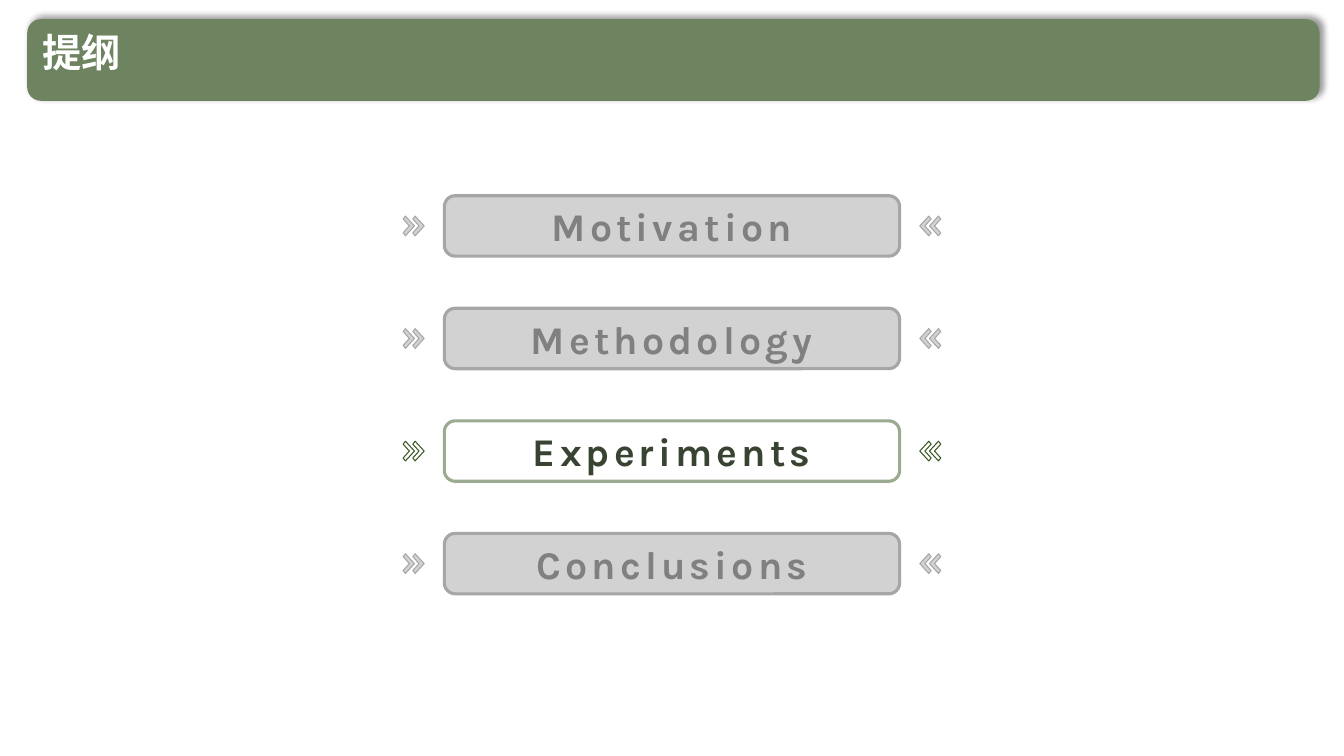
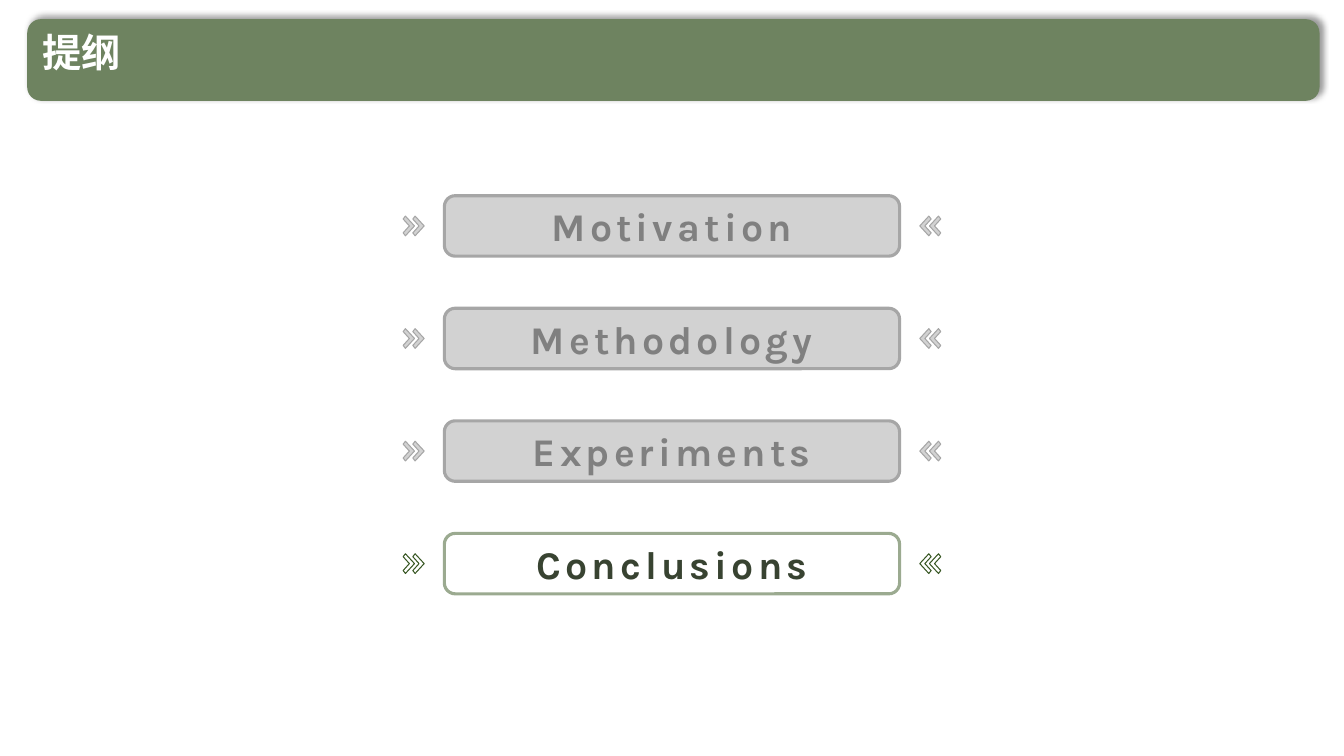
import dataclasses

import lxml.etree
import pptx
import pptx.dml.color
import pptx.enum.shapes
import pptx.enum.text
import pptx.oxml.ns
import pptx.util

SLIDE_WIDTH = pptx.util.Inches(13.33)
SLIDE_HEIGHT = pptx.util.Inches(7.5)
COLUMNS, ROWS = 160, 90
TITLE = "提纲"
SECTIONS = ["Motivation", "Methodology", "Experiments", "Conclusions"]
CHEVRON = [(0.2, 0), (0, 0.15), (0.55, 0.5), (0, 0.85), (0.2, 1), (1, 0.5)]


@dataclasses.dataclass(frozen=True)
class Look:
    text: str
    pill_line: str
    chevron_line: str
    fill: str | None = None


@dataclasses.dataclass(frozen=True)
class Theme:
    band: str = "6E8360"
    shadow: str = "000000"
    title: str = "FFFFFF"
    title_font: str = "Noto Sans CJK SC"
    section_font: str = "Karla"
    size: int = 28
    pill_line: float = 2.25
    chevron_line: float = 0.75
    active: Look = Look("384331", "9BAA90", "385723")
    muted: Look = Look("808080", "A6A6A6", "A6A6A6", "A6A6A6")


THEME = Theme()


@dataclasses.dataclass(frozen=True)
class Box:
    left: float
    top: float
    width: float
    height: float

    def inner(self, left, top, width, height):
        return Box(self.left + left, self.top + top, width, height)

    def emu(self):
        return (*to_emu(self.left, self.top), *to_emu(self.width, self.height))


def to_emu(column, row):
    return (round(column * SLIDE_WIDTH / COLUMNS),
            round(row * SLIDE_HEIGHT / ROWS))


def add_child(parent, tag, **attributes):
    return lxml.etree.SubElement(parent, pptx.oxml.ns.qn(tag), attributes)


def paint(shape, fill=None, line=None, line_width=0, opacity=100):
    shape.shadow.inherit = False
    if fill:
        shape.fill.solid()
        shape.fill.fore_color.rgb = pptx.dml.color.RGBColor.from_string(fill)
        if opacity < 100:
            tint = shape.fill._xPr.find(".//" + pptx.oxml.ns.qn("a:srgbClr"))
            add_child(tint, "a:alpha", val=str(opacity * 1000))
    else:
        shape.fill.background()
    if line:
        shape.line.color.rgb = pptx.dml.color.RGBColor.from_string(line)
        shape.line.width = pptx.util.Pt(line_width)
    else:
        shape.line.fill.background()


def write(shape, text, font, color, size=THEME.size, bold=True, align="LEFT",
          anchor="TOP", line_spacing=1.0, tracking=0):
    frame = shape.text_frame
    frame.word_wrap = True
    frame.vertical_anchor = pptx.enum.text.MSO_ANCHOR[anchor]
    paragraph = frame.paragraphs[0]
    paragraph.alignment = pptx.enum.text.PP_ALIGN[align]
    paragraph.line_spacing = line_spacing
    run = paragraph.add_run()
    run.text = text
    run.font.size = pptx.util.Pt(size)
    run.font.bold = bold
    run.font.name = font
    run.font.color.rgb = pptx.dml.color.RGBColor.from_string(color)
    properties = run._r.get_or_add_rPr()
    add_child(properties, "a:ea", typeface=font)
    if tracking:
        properties.set("spc", str(tracking * 100))


def add_rounded(shapes, box):
    return shapes.add_shape(
        pptx.enum.shapes.MSO_SHAPE.ROUNDED_RECTANGLE, *box.emu())


def add_title_band(slide, box):
    band = add_rounded(slide.shapes, box)
    paint(band, fill=THEME.band)
    effects = band._element.spPr.find(pptx.oxml.ns.qn("a:effectLst"))
    shadow = add_child(effects, "a:outerShdw",
                       blurRad=str(pptx.util.Pt(4)), dist=str(pptx.util.Pt(3)),
                       dir=str(315 * 60000), algn="bl", rotWithShape="0")
    tint = add_child(shadow, "a:srgbClr", val=THEME.shadow)
    add_child(tint, "a:alpha", val="40000")
    title = slide.shapes.add_textbox(*box.inner(0.6, 1.08, 132.8, 7.4).emu())
    write(title, TITLE, THEME.title_font, THEME.title, line_spacing=0.9)


def add_chevron(shapes, box, look, mirrored):
    points = [
        to_emu(box.left + (1 - x if mirrored else x) * box.width,
               box.top + y * box.height)
        for x, y in CHEVRON
    ]
    builder = shapes.build_freeform(*points[0])
    builder.add_line_segments(points[1:], close=True)
    paint(builder.convert_to_shape(), look.fill, look.chevron_line,
          THEME.chevron_line, opacity=50)


def add_section(slide, box, text, look):
    shapes = slide.shapes.add_group_shape().shapes
    width, height, step = 1.35, 2.35, 1.15
    top = (box.height - height) / 2
    for offset in (0, step):
        for mirrored in (False, True):
            left = box.width - width - offset if mirrored else offset
            chevron = box.inner(left, top, width, height)
            add_chevron(shapes, chevron, look, mirrored)
    margin = 4.9
    pill = add_rounded(
        shapes, box.inner(margin, 0, box.width - 2 * margin, box.height))
    pill.adjustments[0] = 0.18
    paint(pill, look.fill, look.pill_line, THEME.pill_line, opacity=50)
    write(pill, text, THEME.section_font, look.text, align="CENTER",
          anchor="MIDDLE", tracking=3)


def add_outline(slide, box, current):
    height = 7.2
    pitch = (box.height - height) / (len(SECTIONS) - 1)
    for index, section in enumerate(SECTIONS):
        look = THEME.active if section == current else THEME.muted
        row = box.inner(0, index * pitch, box.width, height)
        add_section(slide, row, section, look)


def add_outline_slide(deck, current):
    slide = deck.slides.add_slide(deck.slide_layouts[6])
    add_title_band(slide, Box(3.24, 2.28, 153.84, 9.72))
    add_outline(slide, Box(48, 23.3, 64, 47.4), current)


def main():
    deck = pptx.Presentation()
    deck.slide_width = SLIDE_WIDTH
    deck.slide_height = SLIDE_HEIGHT
    for current in ("Experiments", "Conclusions"):
        add_outline_slide(deck, current)
    deck.save("out.pptx")


if __name__ == "__main__":
    main()
